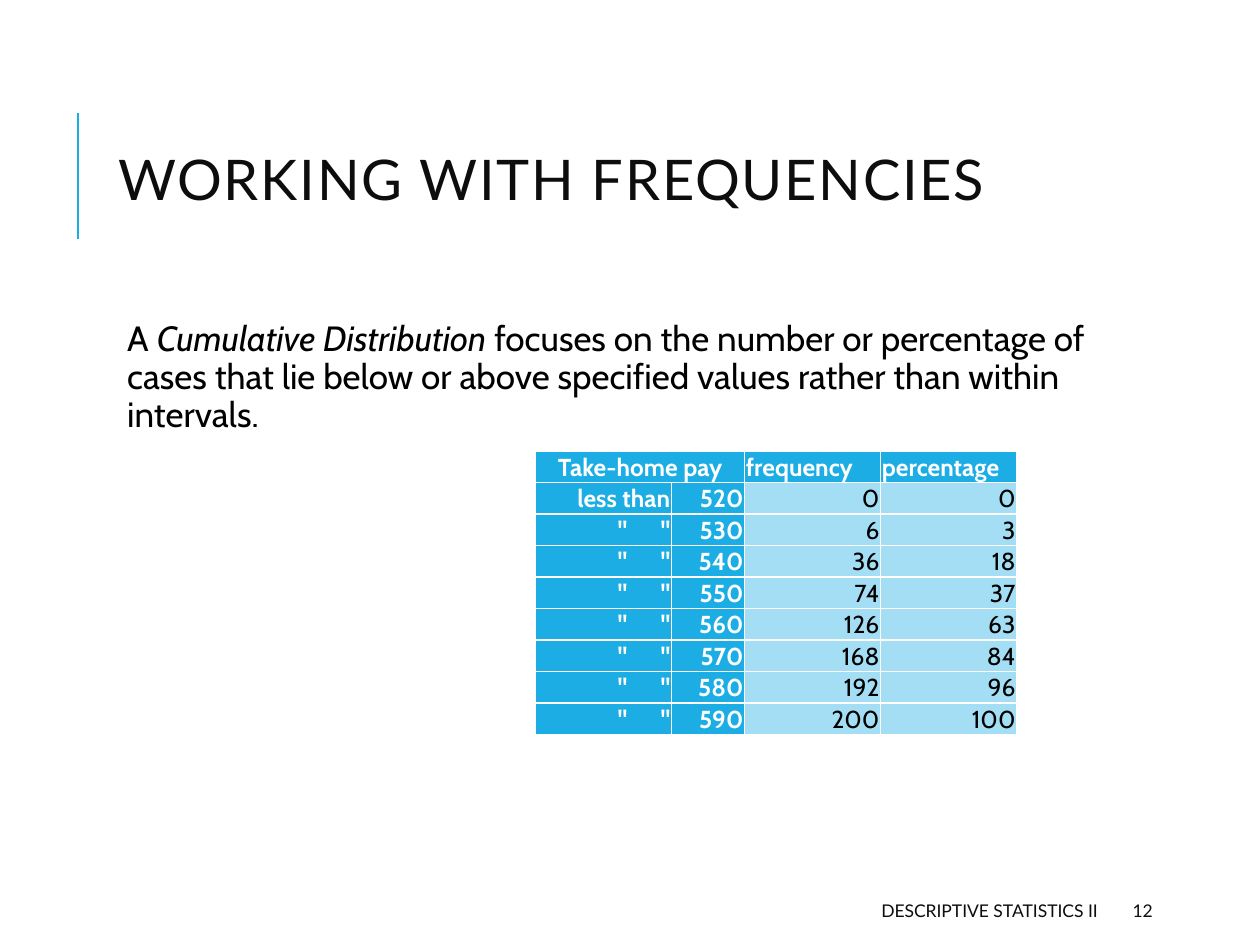
from dataclasses import dataclass

from lxml import etree
from pptx import Presentation
from pptx.dml.color import RGBColor
from pptx.enum import shapes, text
from pptx.oxml.ns import qn
from pptx.util import Inches, Pt

TITLE = "WORKING WITH FREQUENCIES"
BODY = [
    ("A ", False),
    ("Cumulative Distribution ", True),
    ("focuses on the number or percentage of cases that lie below or above "
     "specified values rather than within intervals.", False),
]
FOOTER = "DESCRIPTIVE STATISTICS II"
PAGE = "12"
HEADER = ["Take-home pay", "", "frequency", "percentage"]
FREQUENCIES = [0, 6, 36, 74, 126, 168, 192, 200]
PERCENTAGES = [0, 3, 18, 37, 63, 84, 96, 100]
FIRST_PAY, PAY_STEP = 520, 10
DITTO = '"      "'
COL_WIDTHS = [1.08, 0.58, 1.08, 1.08]
ROW_HEIGHT = 0.25


@dataclass(frozen=True)
class Theme:
    accent: str = "1CADE4"
    tint: str = "A4DEF4"
    white: str = "FFFFFF"
    black: str = "000000"
    ink: str = "0D0D0D"
    heading: str = "Lato"
    body: str = "Cabin"
    title_size: int = 32
    body_size: int = 20
    table_size: int = 14
    footer_size: int = 10


T = Theme()
AL = text.PP_ALIGN
ANCHOR = text.MSO_ANCHOR


def add_run(p, words, font, size, color, bold=False, italic=False):
    r = p.add_run()
    r.text = words
    f = r.font
    f.name, f.size, f.bold, f.italic = font, Pt(size), bold, italic
    f.color.rgb = RGBColor.from_string(color)
    return r


def add_box(s, at, anchor=ANCHOR.MIDDLE, align=AL.LEFT):
    sp = s.shapes.add_textbox(*map(Inches, at))
    tf = sp.text_frame
    tf.word_wrap = True
    tf.vertical_anchor = anchor
    p = tf.paragraphs[0]
    p.alignment = align
    return tf, p


def set_borders(cell, color, width):
    tc_pr = cell._tc.get_or_add_tcPr()
    for i, side in enumerate(("a:lnL", "a:lnR", "a:lnT", "a:lnB")):
        ln = etree.Element(qn(side), w=str(Pt(width)))
        fill = etree.SubElement(ln, qn("a:solidFill"))
        etree.SubElement(fill, qn("a:srgbClr"), val=color)
        tc_pr.insert(i, ln)


def fill_cell(cell, words, align, anchor, is_head):
    cell.margin_left = cell.margin_right = cell.margin_top = Inches(0.01)
    cell.margin_bottom = 0
    cell.vertical_anchor = anchor
    cell.fill.solid()
    cell.fill.fore_color.rgb = RGBColor.from_string(T.accent if is_head else T.tint)
    set_borders(cell, T.white, 1)
    p = cell.text_frame.paragraphs[0]
    p.alignment = align
    if words:
        add_run(p, words, T.body, T.table_size, T.white if is_head else T.black, is_head)


prs = Presentation()
prs.slide_width, prs.slide_height = Inches(10), Inches(7.5)
s = prs.slides.add_slide(prs.slide_layouts[6])

bar = s.shapes.add_connector(
    shapes.MSO_CONNECTOR.STRAIGHT, Inches(0.62), Inches(1.9), Inches(0.62), Inches(0.9))
bar.line.color.rgb = RGBColor.from_string(T.accent)
bar.line.width = Pt(1.5)
etree.SubElement(bar._element.spPr, qn("a:effectLst"))

tf, p = add_box(s, (0.84, 0.64, 7.97, 1.64))
p.line_spacing = 0.8
r = add_run(p, TITLE, T.heading, T.title_size, T.ink)
r._r.get_or_add_rPr().set("spc", "100")

tf, p = add_box(s, (0.84, 2.5, 7.97, 4.4), ANCHOR.TOP)
tf.margin_left = tf.margin_right = tf.margin_top = tf.margin_bottom = Inches(0.05)
p.line_spacing, p.space_before, p.space_after = 0.9, Pt(12), Pt(2)
p_pr = p._p.get_or_add_pPr()
p_pr.set("marL", str(Inches(0.12)))
p_pr.set("indent", "0")
for words, italic in BODY:
    add_run(p, words, T.body, T.body_size, T.black, italic=italic)

for words, left, width, align in ((FOOTER, 3.97, 4.84, AL.RIGHT), (PAGE, 8.89, 0.8, AL.LEFT)):
    tf, p = add_box(s, (left, 7.08, width, 0.3), align=align)
    add_run(p, words, T.heading, T.footer_size, T.ink)

rows = [HEADER] + [
    [DITTO if i else "less than", str(FIRST_PAY + i * PAY_STEP), str(freq), str(pct)]
    for i, (freq, pct) in enumerate(zip(FREQUENCIES, PERCENTAGES))
]
table = s.shapes.add_table(
    len(rows), len(COL_WIDTHS), Inches(4.25), Inches(3.58),
    Inches(sum(COL_WIDTHS)), Inches(ROW_HEIGHT * len(rows))).table
table.horz_banding = False
for col, width in zip(table.columns, COL_WIDTHS):
    col.width = Inches(width)
for i, row in enumerate(rows):
    table.rows[i].height = Inches(ROW_HEIGHT)
    for j, words in enumerate(row):
        if i:
            align, anchor = AL.RIGHT, ANCHOR.MIDDLE
        else:
            align, anchor = AL.LEFT if j else AL.CENTER, ANCHOR.BOTTOM
        fill_cell(table.cell(i, j), words, align, anchor, i == 0 or j < 2)
table.cell(0, 0).merge(table.cell(0, 1))

prs.save("out.pptx")
